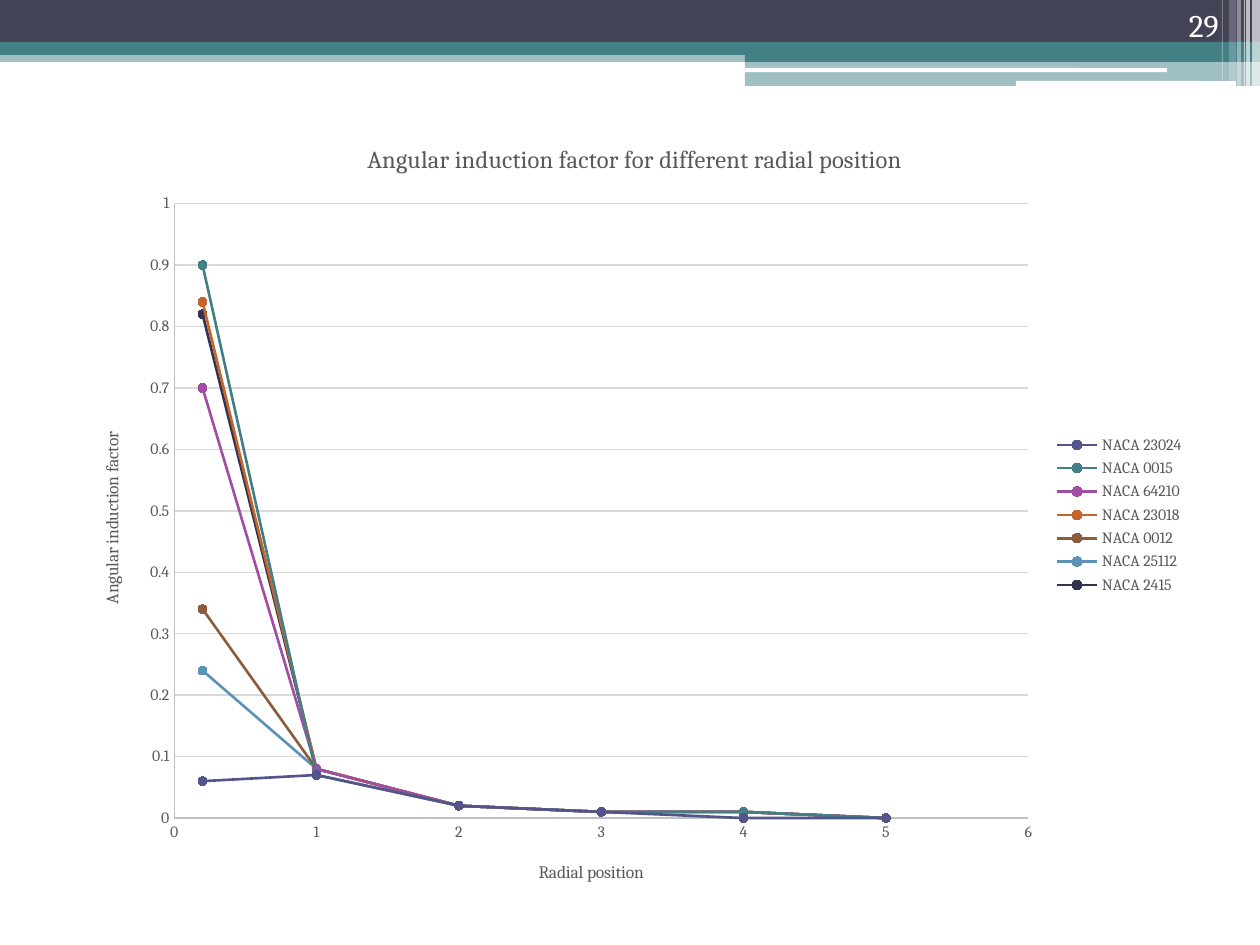
from pptx import Presentation
from pptx.chart.data import XyChartData
from pptx.dml.color import RGBColor as RGB
from pptx.enum.chart import XL_CHART_TYPE as CHART, XL_LEGEND_POSITION as LEGEND
from pptx.enum.chart import XL_MARKER_STYLE as MARKER, XL_TICK_MARK as TICK
from pptx.enum.shapes import MSO_SHAPE as SHAPE
from pptx.enum.text import MSO_ANCHOR as ANCHOR, PP_ALIGN as ALIGN
from pptx.oxml import parse_xml
from pptx.oxml.ns import nsdecls
from pptx.util import Pt

EMU_PER_PX = 914400 / 126
WHITE = RGB(0xFF, 0xFF, 0xFF)
NAVY = RGB(0x42, 0x44, 0x56)
TEAL = RGB(0x43, 0x80, 0x86)
GREY = RGB(0x59, 0x59, 0x59)
AXIS = RGB(0xBF, 0xBF, 0xBF)
GRID = RGB(0xD9, 0xD9, 0xD9)
INDIGO = RGB(0x53, 0x54, 0x8A)
PURPLE = RGB(0xA0, 0x4D, 0xA3)
ORANGE = RGB(0xC4, 0x65, 0x2D)
BROWN = RGB(0x8B, 0x5D, 0x3D)
BLUE = RGB(0x5C, 0x92, 0xB5)
INK = RGB(0x32, 0x32, 0x53)

BANDS = [
    (0, 50, 1260, 12, TEAL, 50),
    (0, 0, 1260, 43, NAVY, 100),
    (0, 42, 1260, 13, TEAL, 100),
    (745, 49, 515, 13, TEAL, 100),
    (745, 61, 515, 25, TEAL, 50),
]
RULES = [(745, 68, 422, 4), (1016, 81, 220, 5)]
STRIPES = [
    (1252, 8, 86, 65),
    (1246, 4, 86, 65),
    (1244, 1, 86, 60),
    (1237, 4, 86, 40),
    (1229, 7, 81, 20),
    (1222, 1, 81, 30),
]
RADII = [0.2, 1, 2, 3, 4, 5]
SERIES = [
    ("NACA 23024", INDIGO, [0.06, 0.07, 0.02, 0.01, 0, 0]),
    ("NACA 0015", TEAL, [0.9, 0.07, 0.02, 0.01, 0.01, 0]),
    ("NACA 64210", PURPLE, [0.7, 0.08, 0.02, 0.01, 0.01, 0]),
    ("NACA 23018", ORANGE, [0.84, 0.08, 0.02, 0.01, 0.01, 0]),
    ("NACA 0012", BROWN, [0.34, 0.08, 0.02, 0.01, 0.01, 0]),
    ("NACA 25112", BLUE, [0.24, 0.08, 0.02, 0.01, 0.01, 0]),
    ("NACA 2415", INK, [0.82, 0.08, 0.02, 0.01, 0.01, 0]),
]
PLOT = {"x": 0.09, "y": 0.11, "w": 0.76, "h": 0.77}


class Deck:
    """Style and current slide, with one method per kind of element."""

    def __init__(self, width, height, font="Cambria"):
        self.font = font
        self.prs = Presentation()
        self.prs.slide_width, self.prs.slide_height = self.emu(width, height)
        self.s = self.prs.slides.add_slide(self.prs.slide_layouts[6])

    def emu(self, *lengths):
        return [round(n * EMU_PER_PX) for n in lengths]

    def set(self, obj, **values):
        for name, value in values.items():
            setattr(obj, name, value)

    def style(self, font, size, color):
        self.set(font, name=self.font, size=Pt(size), bold=False)
        font.color.rgb = color

    def line(self, fmt, color, width):
        fmt.line.color.rgb = color
        fmt.line.width = Pt(width)

    def bar(self, x, y, w, h, color, opacity=100, kind=SHAPE.RECTANGLE):
        sp = self.s.shapes.add_shape(kind, *self.emu(x, y, w, h))
        sp.shadow.inherit = False
        sp.line.fill.background()
        sp.fill.solid()
        sp.fill.fore_color.rgb = color
        if opacity < 100:
            alpha = f'<a:alpha {nsdecls("a")} val="{opacity * 1000}"/>'
            sp.element.spPr.xpath(".//a:srgbClr")[0].append(parse_xml(alpha))

    def text(self, x, y, w, h, text, size, color):
        tf = self.s.shapes.add_textbox(*self.emu(x, y, w, h)).text_frame
        self.set(tf, word_wrap=True, vertical_anchor=ANCHOR.BOTTOM)
        p = tf.paragraphs[0]
        p.alignment = ALIGN.RIGHT
        r = p.add_run()
        r.text = text
        self.style(r.font, size, color)

    def title(self, owner, text, size):
        p = owner.text_frame.paragraphs[0]
        r = p.add_run()
        r.text = text
        self.style(r.font, size, GREY)

    def axis(self, axis, title, top, step):
        self.set(axis, minimum_scale=0, maximum_scale=top, major_unit=step,
                 major_tick_mark=TICK.NONE, minor_tick_mark=TICK.NONE)
        self.title(axis.axis_title, title, 10)
        self.style(axis.tick_labels.font, 9, GREY)
        self.set(axis.tick_labels, number_format="General", number_format_is_linked=False)
        self.line(axis.format, AXIS, 0.75)

    def chart(self, x, y, w, h, title, x_title, y_title):
        data = XyChartData()
        for name, _, values in SERIES:
            series = data.add_series(name)
            for point in zip(RADII, values):
                series.add_data_point(*point)
        frame = self.s.shapes.add_chart(CHART.XY_SCATTER_SMOOTH, *self.emu(x, y, w, h), data)
        chart = frame.chart
        self.set(chart.font, name=self.font, size=Pt(10))
        self.title(chart.chart_title, title, 14)
        chart.chart_title.include_in_layout = False
        self.axis(chart.category_axis, x_title, 6, 1)
        self.axis(chart.value_axis, y_title, 1, 0.1)
        chart.category_axis.has_major_gridlines = False
        self.line(chart.value_axis.major_gridlines.format, GRID, 0.75)
        chart.has_legend = True
        self.set(chart.legend, position=LEGEND.RIGHT, include_in_layout=False)
        self.style(chart.legend.font, 9, GREY)
        chart.plots[0].vary_by_categories = False
        for series, (_, color, _) in zip(chart.plots[0].series, SERIES):
            series.smooth = True
            self.line(series.format, color, 1.5)
            self.set(series.marker, style=MARKER.CIRCLE, size=5)
            series.marker.format.fill.solid()
            series.marker.format.fill.fore_color.rgb = color
            self.line(series.marker.format, color, 0.75)
        self.place_plot(chart)

    def place_plot(self, chart):
        area = chart.element.xpath(".//c:plotArea")[0]
        for old in area.xpath("./c:layout"):
            area.remove(old)
        sizes = "".join(f'<c:{k} val="{v}"/>' for k, v in PLOT.items())
        modes = '<c:xMode val="edge"/><c:yMode val="edge"/>'
        area.insert(0, parse_xml(
            f'<c:layout {nsdecls("c")}><c:manualLayout><c:layoutTarget val="inner"/>'
            f'{modes}{sizes}</c:manualLayout></c:layout>'))


def main():
    deck = Deck(1260, 945)
    for band in BANDS:
        deck.bar(*band)
    for rule in RULES:
        deck.bar(*rule, WHITE, kind=SHAPE.ROUNDED_RECTANGLE)
    for x, w, h, opacity in STRIPES:
        deck.bar(x, 0, w, h, WHITE, opacity)
    deck.text(1126, 0, 105, 50, "29", 18, WHITE)
    deck.chart(73, 116, 1124, 798, "Angular induction factor for different radial position",
               "Radial position", "Angular induction factor")
    deck.prs.save("out.pptx")


if __name__ == "__main__":
    main()
